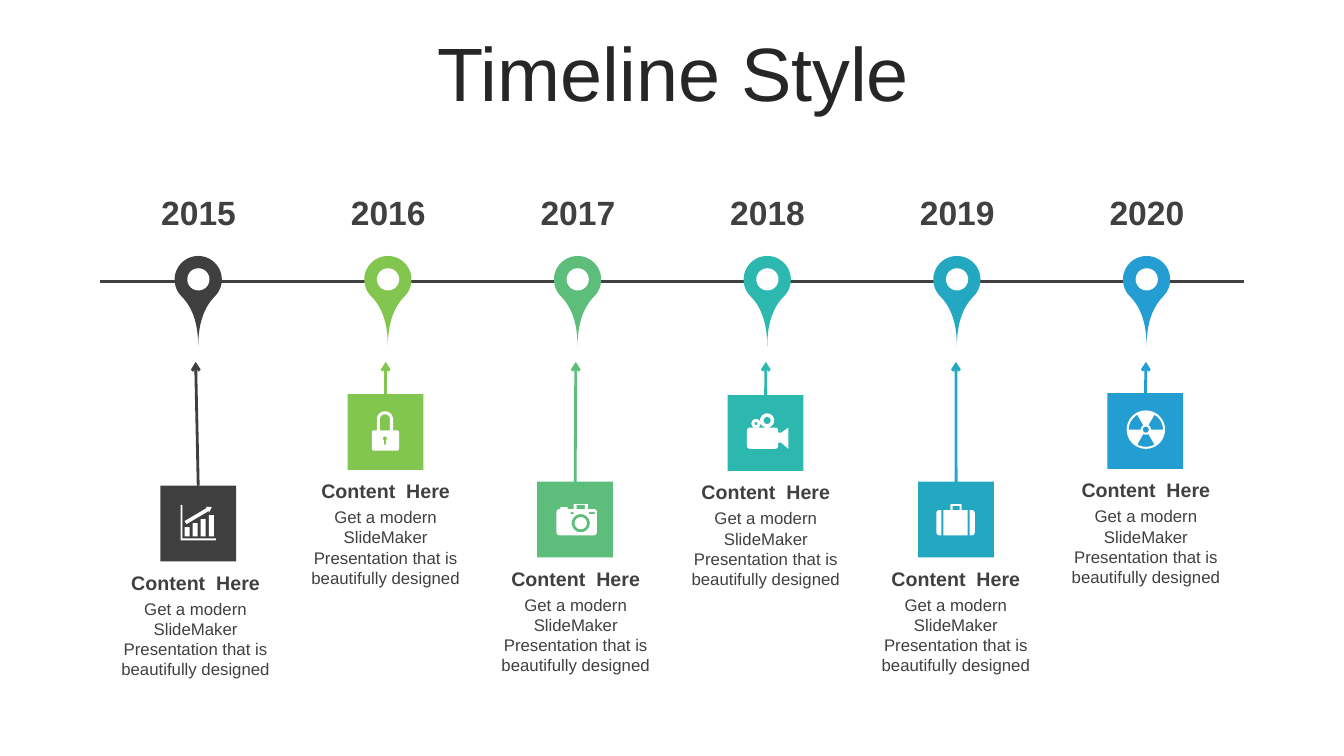
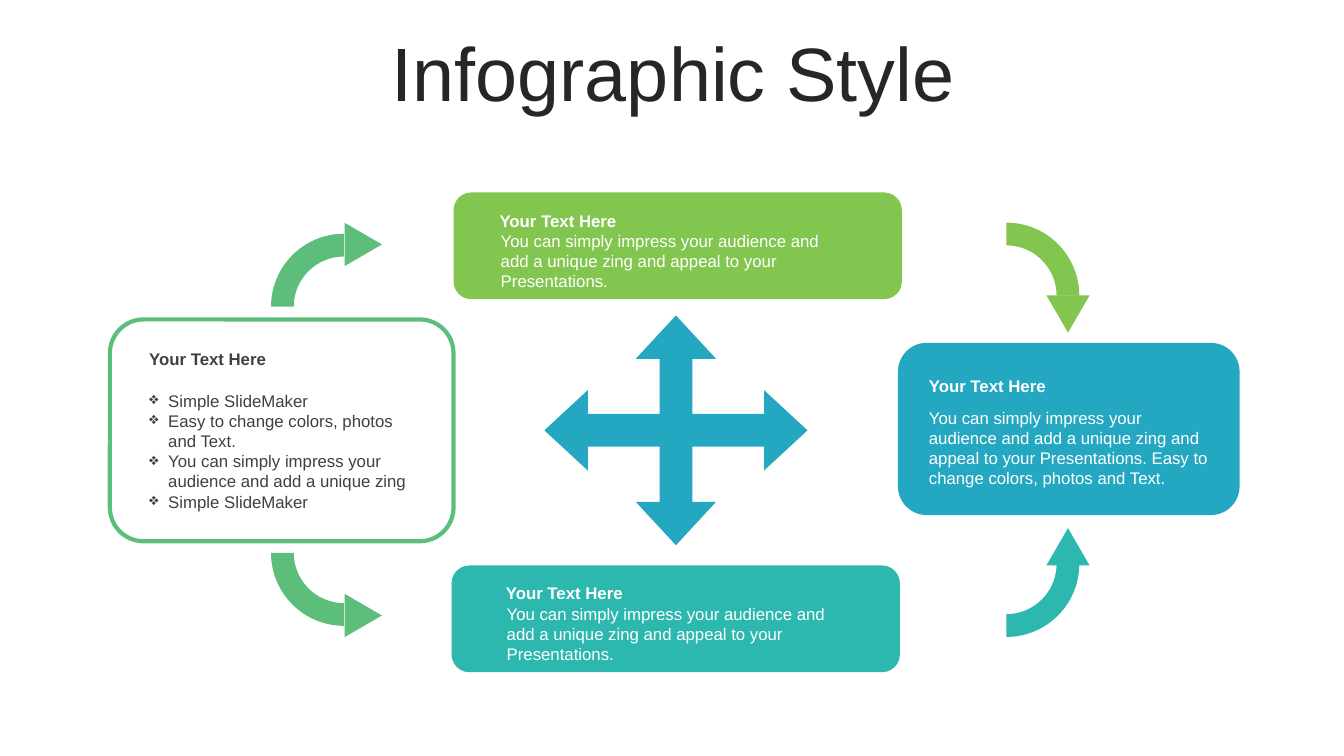
from math import cos, radians, sin

from lxml.etree import SubElement
from pptx import Presentation
from pptx.dml.color import RGBColor
from pptx.enum.shapes import MSO_CONNECTOR, MSO_SHAPE as SHAPE
from pptx.enum.text import MSO_ANCHOR as ANCHOR, PP_ALIGN as ALIGN
from pptx.oxml.ns import qn
from pptx.util import Cm, Pt

FONT = "Arial"
WHITE = RGBColor(0xFF, 0xFF, 0xFF)
INK = RGBColor(0x26, 0x26, 0x26)
GREY = RGBColor(0x40, 0x40, 0x40)
DARK = RGBColor(0x3F, 0x3F, 0x3F)
LIME = RGBColor(0x82, 0xC6, 0x50)
GREEN = RGBColor(0x5C, 0xBE, 0x7A)
TEAL = RGBColor(0x2C, 0xB8, 0xAE)
CYAN = RGBColor(0x24, 0xA8, 0xC2)
BLUE = RGBColor(0x24, 0x9E, 0xD2)

TILE = 1.91
ICON_GRID = 75
YEAR_LEFT, YEAR_PITCH = 3.48, 4.78
LABEL_LEFT, LABEL_PITCH, LABEL_WIDTH = 2.77, 4.79, 4.32
ARROW_TIP = 9.12

HEADING = "Content  Here"
BODY = "Get a modern SlideMaker Presentation that is beautifully designed"
MILESTONES = [
    ("2015", DARK, 4.04, 12.24, "chart"),
    ("2016", LIME, 8.76, 9.93, "lock"),
    ("2017", GREEN, 13.54, 12.14, "camera"),
    ("2018", TEAL, 18.34, 9.96, "film"),
    ("2019", CYAN, 23.14, 12.14, "case"),
    ("2020", BLUE, 27.91, 9.91, "hazard"),
]

PANEL_TITLE = "Your Text Here"
IMPRESS = "You can simply impress your audience and add a unique zing"
APPEAL = IMPRESS + " and appeal to your Presentations."
PANELS = [
    dict(box=(2.77, 8.05, 8.66, 5.59), corner=0.152, line=GREEN, color=GREY,
         title=(3.51, 8.66, 7.24, 0.76), body=(3.51, 9.7, 7.24, 3.33), bullet="❖",
         text=["Simple SlideMaker", "Easy to change colors, photos and Text.",
               IMPRESS, "Simple SlideMaker"]),
    dict(box=(22.63, 8.64, 8.61, 4.34), fill=CYAN,
         title=(23.16, 9.35, 7.65, 0.76), body=(23.16, 10.13, 7.7, 2.31),
         text=[APPEAL + " Easy to change colors, photos and Text."]),
    dict(box=(11.43, 4.85, 11.3, 2.69), fill=LIME,
         title=(12.34, 5.18, 9.37, 0.76), body=(12.37, 5.94, 9.35, 1.27), text=[APPEAL]),
    dict(box=(11.38, 14.25, 11.3, 2.69), fill=TEAL,
         title=(12.5, 14.55, 9.37, 0.76), body=(12.52, 15.34, 9.35, 1.27), text=[APPEAL]),
]
TURNS = [
    (GREEN, (6.83, 5.89), 0, (8.61, 5.69), 90),
    (GREEN, (6.83, 12.09), 270, (8.61, 15.04), 90),
    (TEAL, (23.52, 12.37), 180, (26.37, 13.31), 0),
    (LIME, (23.52, 5.61), 90, (26.37, 7.44), 180),
]


def arc(cx, cy, r, start, end):
    steps = max(4, abs(end - start) // 10)
    angles = [radians(start + (end - start) * i / steps) for i in range(steps + 1)]
    return [(cx + r * cos(a), cy + r * sin(a)) for a in angles]


def disc(cx, cy, r):
    return arc(cx, cy, r, 0, 360)


def block(x, y, w, h):
    return [(x, y), (x + w, y), (x + w, y + h), (x, y + h)]


def rounded(x, y, w, h, r):
    right, bottom = x + w - r, y + h - r
    return (arc(x + r, y + r, r, 180, 270) + arc(right, y + r, r, 270, 360)
            + arc(right, bottom, r, 0, 90) + arc(x + r, bottom, r, 90, 180))


def sector(cx, cy, inner, outer, mid):
    return arc(cx, cy, outer, mid - 30, mid + 30) + arc(cx, cy, inner, mid + 30, mid - 30)


CASE_END = arc(21, 31, 3, 180, 270) + [(23, 28), (23, 53)] + arc(21, 50, 3, 90, 180)
ICONS = {
    "chart": [block(24 + 8 * i, 41 - 4 * i, 5, 9 + 4 * i) for i in range(4)] + [
        [(45, 21), (51, 21), (48, 27), (48, 25), (26, 38), (24, 35), (46, 22)],
        [(20, 19), (22, 19), (22, 52), (55, 52), (55, 54), (20, 54)]],
    "lock": [
        rounded(24, 36, 27, 20, 2),
        [(29, 36)] + arc(37, 25, 8, 180, 360) + [(45, 36), (42, 36)]
        + arc(37, 25, 5, 360, 180) + [(32, 36)],
        arc(37, 44, 2, 120, 420) + [(38, 50), (36, 50)]],
    "camera": [
        rounded(19, 27, 40, 26, 3), disc(43, 41, 9), disc(43, 41, 6),
        block(23, 25, 7, 2), block(33, 30, 3, 2), block(51, 30, 6, 2),
        block(36, 22, 14, 5), block(39, 23, 8, 4)],
    "film": [
        rounded(19, 32, 31, 21, 3), disc(28, 28, 4.5), disc(28, 28, 1.5),
        disc(39, 25, 7), disc(39, 25, 3.5),
        [(50, 37), (53, 37), (60, 32), (60, 53), (53, 47), (50, 47)]],
    "case": [
        CASE_END, [(74 - x, y) for x, y in CASE_END], block(25, 28, 24, 25),
        rounded(32, 22, 11, 6, 1), block(34, 24, 7, 4)],
    "hazard": [disc(38, 36, 19), disc(38, 36, 3)]
    + [sector(38, 36, 5, 17, mid) for mid in (90, 210, 330)],
}


def paint(sp, fill=None, line=None, width=3):
    sp.shadow.inherit = False
    if fill is None:
        sp.fill.background()
    else:
        sp.fill.solid()
        sp.fill.fore_color.rgb = fill
    if line is None:
        sp.line.fill.background()
    else:
        sp.line.color.rgb = line
        sp.line.width = Pt(width)


def add_shape(s, kind, box, fill=None, line=None, rotation=0, adjust=()):
    sp = s.shapes.add_shape(kind, *map(Cm, box))
    paint(sp, fill, line)
    sp.rotation = rotation
    for i, value in enumerate(adjust):
        sp.adjustments[i] = value


def add_text(s, text, box, size=12, color=GREY, bold=False, align=ALIGN.LEFT,
             anchor=ANCHOR.MIDDLE, inset=True, spacing=None, bullet=None):
    tf = s.shapes.add_textbox(*map(Cm, box)).text_frame
    tf.word_wrap = True
    tf.vertical_anchor = anchor
    if not inset:
        tf.margin_left = tf.margin_right = tf.margin_top = tf.margin_bottom = 0
    for i, content in enumerate([text] if isinstance(text, str) else text):
        p = tf.add_paragraph() if i else tf.paragraphs[0]
        p.alignment = align
        if spacing:
            p.line_spacing = spacing
        if bullet:
            pPr = p._p.get_or_add_pPr()
            pPr.set("marL", str(Cm(0.48)))
            pPr.set("indent", str(-Cm(0.48)))
            SubElement(pPr, qn("a:buChar")).set("char", bullet)
        r = p.add_run()
        r.text = content
        r.font.name, r.font.size, r.font.bold = FONT, Pt(size), bold
        r.font.color.rgb = color


def add_line(s, start, end, color, width, arrow=False):
    c = s.shapes.add_connector(MSO_CONNECTOR.STRAIGHT, *map(Cm, start + end))
    c.line.color.rgb = color
    c.line.width = Pt(width)
    if arrow:
        SubElement(c.line._get_or_add_ln(), qn("a:tailEnd")).set("type", "arrow")
    SubElement(c._element.spPr, qn("a:effectLst"))


def add_icon(s, contours, left, top):
    unit = TILE / ICON_GRID
    builder = None
    for contour in contours:
        start, *rest = [(Cm(left + x * unit), Cm(top + y * unit)) for x, y in contour]
        if builder is None:
            builder = s.shapes.build_freeform(*start)
        else:
            builder.move_to(*start)
        builder.add_line_segments(rest, close=True)
    paint(builder.convert_to_shape(), WHITE)


def add_slide(prs, title):
    s = prs.slides.add_slide(prs.slide_layouts[6])
    add_text(s, title, (0.89, 0.94, 32.16, 2.01), size=54, color=INK,
             align=ALIGN.CENTER, spacing=0.9)
    return s


def build_timeline(prs):
    s = add_slide(prs, "Timeline Style")
    add_line(s, (2.51, 7.09), (31.34, 7.09), GREY, 1.75)
    for i, (year, color, left, top, icon) in enumerate(MILESTONES):
        x = YEAR_LEFT + i * YEAR_PITCH
        add_text(s, year, (x, 4.83, 3.05, 1.02), size=24, bold=True,
                 align=ALIGN.CENTER, anchor=ANCHOR.TOP, inset=False)
        add_shape(s, SHAPE.TEAR, (x + 0.92, 6.45, 1.19, 1.19), color,
                  rotation=135, adjust=[2])
        add_shape(s, SHAPE.OVAL, (x + 1.24, 6.76, 0.56, 0.56), WHITE)

        label = LABEL_LEFT + i * LABEL_PITCH
        add_shape(s, SHAPE.RECTANGLE, (left, top, TILE, TILE), color)
        add_icon(s, ICONS[icon], left, top)
        add_line(s, (left + TILE / 2, top), (label + LABEL_WIDTH / 2, ARROW_TIP),
                 color, 2, arrow=True)
        add_text(s, HEADING, (label, top + 2.01, LABEL_WIDTH, 0.86), size=14,
                 bold=True, align=ALIGN.CENTER)
        add_text(s, BODY, (label, top + 2.72, LABEL_WIDTH, 2.31),
                 align=ALIGN.CENTER, anchor=ANCHOR.TOP)


def build_infographic(prs):
    s = add_slide(prs, "Infographic Style")
    add_shape(s, SHAPE.QUAD_ARROW, (13.72, 7.95, 6.63, 5.79), CYAN,
              adjust=[0.143, 0.175, 0.189])
    for panel in PANELS:
        color = panel.get("color", WHITE)
        add_shape(s, SHAPE.ROUNDED_RECTANGLE, panel["box"], panel.get("fill"),
                  panel.get("line"), adjust=[panel.get("corner", 0.167)])
        add_text(s, PANEL_TITLE, panel["title"], color=color, bold=True)
        add_text(s, panel["text"], panel["body"], color=color, bullet=panel.get("bullet"))
    for color, bend, turn, head, direction in TURNS:
        add_shape(s, SHAPE.BLOCK_ARC, bend + (3.68, 3.68), color,
                  rotation=turn, adjust=[108, 162, 0.156])
        add_shape(s, SHAPE.ISOSCELES_TRIANGLE, head + (1.09, 0.94), color,
                  rotation=direction)


def main():
    prs = Presentation()
    prs.slide_width, prs.slide_height = Cm(33.87), Cm(19.05)
    build_timeline(prs)
    build_infographic(prs)
    prs.save("out.pptx")


if __name__ == "__main__":
    main()
